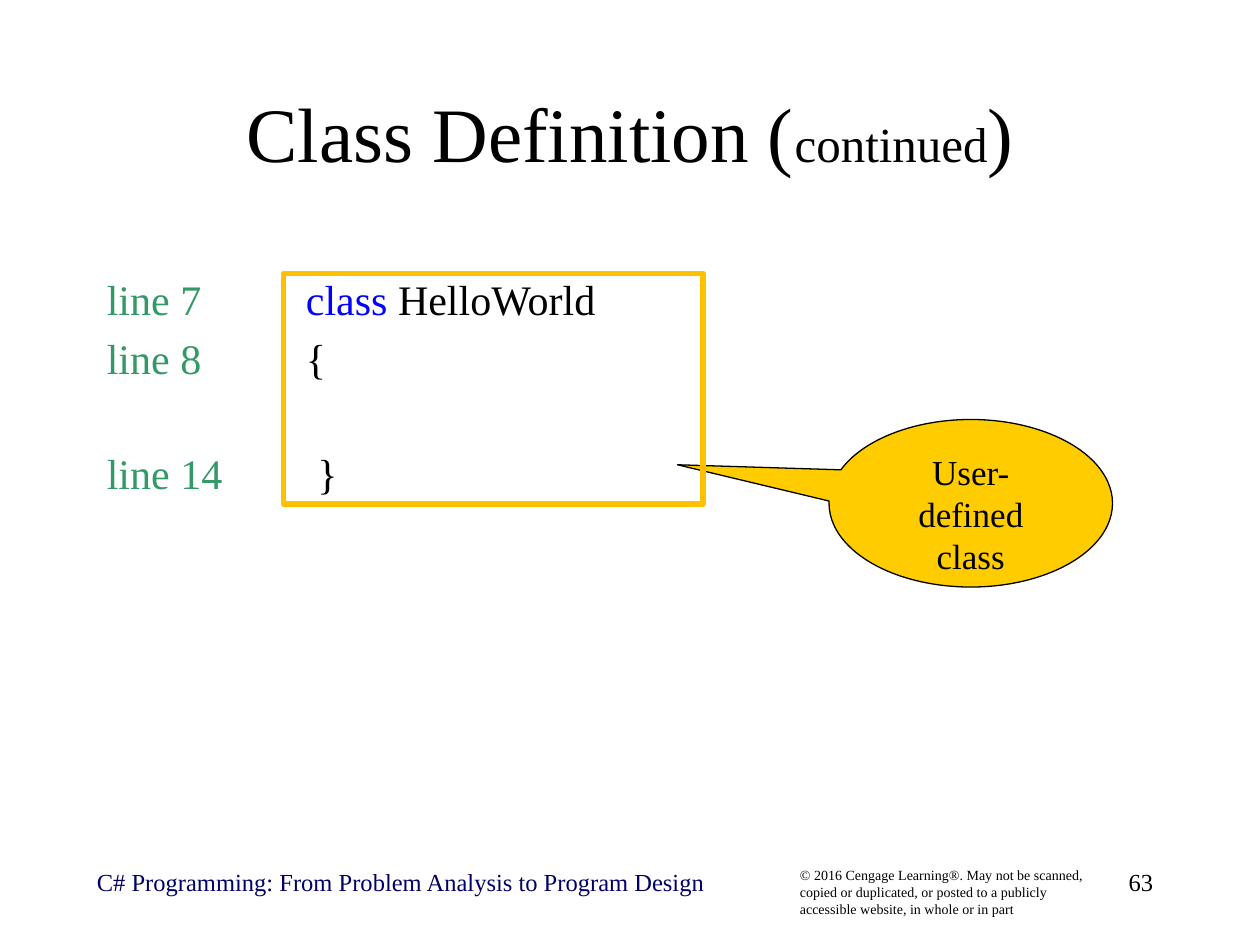
from dataclasses import dataclass

from lxml.etree import SubElement
from pptx import Presentation
from pptx.dml.color import RGBColor
from pptx.enum.shapes import MSO_SHAPE
from pptx.enum.text import MSO_ANCHOR, PP_ALIGN
from pptx.oxml.ns import qn
from pptx.util import Inches, Pt


@dataclass(frozen=True)
class Theme:
    font: str = "Times New Roman"
    ink: str = "000000"
    line_label: str = "339966"
    keyword: str = "0000FF"
    book: str = "000066"
    callout: str = "FFCC00"
    frame: str = "FFC000"
    title_size: int = 44
    continued_size: int = 28
    code_size: int = 24
    callout_size: int = 20
    footer_size: int = 14
    copyright_size: int = 8


THEME = Theme()

# Content
TITLE = [("Class Definition (", THEME.title_size),
         ("continued", THEME.continued_size),
         (")", THEME.title_size)]
# label, code runs, code column in inches, rows below the previous line
CODE = [
    ("line 7", [("class", THEME.keyword), (" HelloWorld", THEME.ink)], 1.58, 0),
    ("line 8", [("{", THEME.ink)], 1.58, 1),
    ("line 14", [("}", THEME.ink)], 1.67, 2),
]
CALLOUT = "User-defined class"
# text, left, width, size, colour, alignment
FOOTER = [
    ("© 2016 Cengage Learning®. May not be scanned, copied or duplicated, "
     "or posted to a publicly accessible website, in whole or in part",
     6.25, 2.5, THEME.copyright_size, THEME.ink, PP_ALIGN.LEFT),
    ("C# Programming: From Problem Analysis to Program Design",
     0.67, 5.92, THEME.footer_size, THEME.book, PP_ALIGN.LEFT),
    ("63", 7.17, 2.08, THEME.footer_size, THEME.ink, PP_ALIGN.RIGHT),
]

# Layout
MARGIN, BODY_WIDTH = 0.75, 8.5
CODE_TOP, FOOTER_TOP = 2.17, 6.83
LINE_SPACING, ROW_GAP, ROW_PITCH = 0.9, 7.5, 32.3


def box(left, top, width, height):
    return [Inches(value) for value in (left, top, width, height)]


def style(font, size, color=None):
    font.name, font.size = THEME.font, Pt(size)
    if color:
        font.color.rgb = RGBColor.from_string(color)


def add_text(slide, *place):
    frame = slide.shapes.add_textbox(*box(*place)).text_frame
    frame.word_wrap = True
    return frame


def add_outlined(slide, preset, place, color, width):
    shape = slide.shapes.add_shape(preset, *box(*place))
    shape.shadow.inherit = False
    shape.line.color.rgb = RGBColor.from_string(color)
    shape.line.width = Pt(width)
    return shape


def add_title(slide):
    title = slide.shapes.title
    title.left, title.top, title.width, title.height = box(
        MARGIN, 0.42, BODY_WIDTH, 1.25)
    title.text_frame.vertical_anchor = MSO_ANCHOR.MIDDLE
    line = title.text_frame.paragraphs[0]
    line.alignment = PP_ALIGN.CENTER
    for words, size in TITLE:
        run = line.add_run()
        run.text = words
        style(run.font, size, THEME.ink)


def add_code(slide):
    frame = add_text(slide, MARGIN, CODE_TOP, BODY_WIDTH, 3.67)
    for index, (label, code, column, rows) in enumerate(CODE):
        line = frame.add_paragraph() if index else frame.paragraphs[0]
        line.line_spacing = LINE_SPACING
        if rows:
            line.space_before = Pt(ROW_GAP + (rows - 1) * ROW_PITCH)
        stops = SubElement(line._p.get_or_add_pPr(), qn("a:tabLst"))
        SubElement(stops, qn("a:tab"), pos=str(Inches(column)), algn="l")
        style(line.font, THEME.code_size)
        for words, color in [(label + "\t", THEME.line_label), *code]:
            run = line.add_run()
            run.text = words
            style(run.font, THEME.code_size, color)


def add_callout(slide):
    callout = add_outlined(slide, MSO_SHAPE.OVAL_CALLOUT,
                           (6.58, 3.33, 2.25, 1.33), THEME.ink, 0.75)
    callout.adjustments[0], callout.adjustments[1] = -1.035, -0.23
    callout.fill.solid()
    callout.fill.fore_color.rgb = RGBColor.from_string(THEME.callout)
    frame = callout.text_frame
    frame.text, frame.word_wrap = CALLOUT, True
    frame.vertical_anchor = MSO_ANCHOR.TOP
    frame.paragraphs[0].alignment = PP_ALIGN.CENTER
    style(frame.paragraphs[0].font, THEME.callout_size, THEME.ink)


def add_footer(slide):
    for words, left, width, size, color, alignment in FOOTER:
        frame = add_text(slide, left, FOOTER_TOP, width, 0.5)
        frame.text = words
        frame.paragraphs[0].alignment = alignment
        style(frame.paragraphs[0].font, size, color)


def main():
    deck = Presentation()
    deck.slide_width, deck.slide_height = Inches(10), Inches(7.5)
    slide = deck.slides.add_slide(deck.slide_layouts[5])
    add_footer(slide)
    add_title(slide)
    add_code(slide)
    add_callout(slide)
    # Frame around the class, in front of the callout's tail
    class_frame = add_outlined(slide, MSO_SHAPE.RECTANGLE,
                               (2.25, CODE_TOP, 3.33, 1.83), THEME.frame, 3)
    class_frame.fill.background()
    deck.save("out.pptx")


if __name__ == "__main__":
    main()
